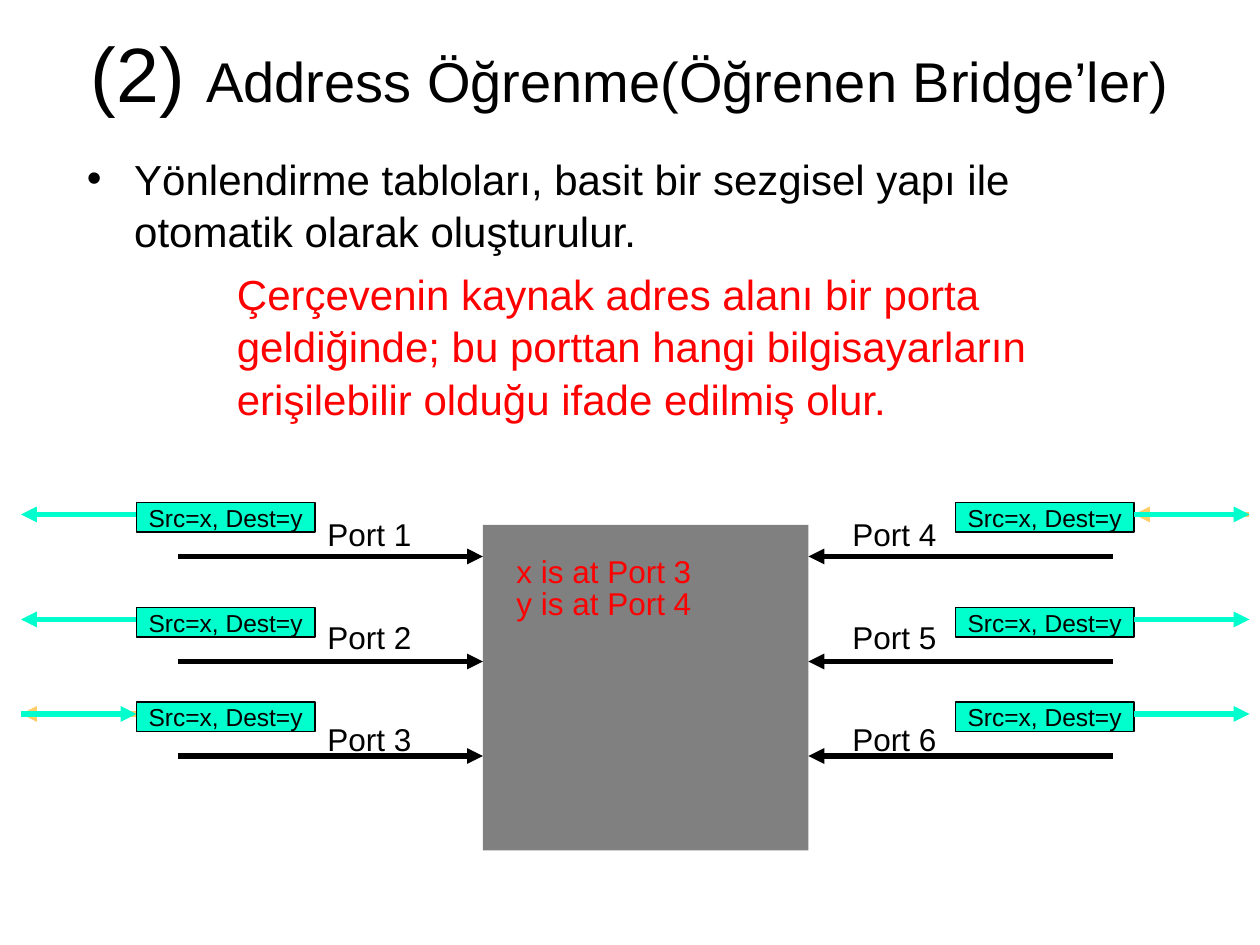
from pptx import Presentation
from pptx.dml.color import RGBColor
from pptx.enum.shapes import MSO_CONNECTOR as Link, MSO_SHAPE as Form
from pptx.enum.text import MSO_ANCHOR as Anchor, MSO_AUTO_SIZE as Fit, PP_ALIGN as Align
from pptx.oxml.ns import qn
from pptx.util import Pt
from lxml.etree import SubElement

BLACK, RED, GREY, MINT, AMBER = "000000", "FF0000", "808080", "00FFCC", "FFCC66"


def paint(target, color):
    """Give a fill or a line format a solid colour."""
    target.solid()
    target.fore_color.rgb = RGBColor.from_string(color)


def write(para, text, size=18, color=BLACK, font="Arial", align=None):
    """Add a run of text to a paragraph."""
    run = para.add_run()
    run.text = text
    run.font.name, run.font.size = font, Pt(size)
    run.font.color.rgb = RGBColor.from_string(color)
    if align is not None:
        para.alignment = align


class Sketch:
    """Holds the current slide and the shared line style."""
    weight = 3

    def __init__(self, slide):
        self.slide = slide
        self.shapes = slide.shapes

    def place(self, holder, x, y, w, h):
        holder.left, holder.top, holder.width, holder.height = map(Pt, (x, y, w, h))
        frame = holder.text_frame
        frame.auto_size, frame.word_wrap = Fit.NONE, True
        return frame

    def block(self, x, y, w, h, color, edge=None, text=""):
        box = self.shapes.add_shape(Form.RECTANGLE, *map(Pt, (x, y, w, h)))
        box.shadow.inherit = False
        paint(box.fill, color)
        if edge:
            paint(box.line.fill, edge)
            box.line.width = Pt(0.75)
        else:
            box.line.fill.background()
        if text:
            frame = box.text_frame
            frame.margin_left = frame.margin_right = 0
            frame.margin_top = frame.margin_bottom = 0
            frame.vertical_anchor = Anchor.MIDDLE
            write(frame.paragraphs[0], text, size=14, align=Align.CENTER)

    def label(self, x, y, w, text, color=BLACK):
        box = self.shapes.add_textbox(*map(Pt, (x, y, w, 28.8)))
        box.text_frame.word_wrap = True
        write(box.text_frame.paragraphs[0], text, color=color)

    def arrow(self, start, end, y, color):
        line = self.shapes.add_connector(Link.STRAIGHT, *map(Pt, (start, y, end, y)))
        paint(line.line.fill, color)
        line.line.width = Pt(self.weight)
        props = line.line._get_or_add_ln()
        SubElement(props, qn("a:tailEnd"), type="triangle")
        SubElement(props.getparent(), qn("a:effectLst"))


def main():
    deck = Presentation()
    deck.slide_width, deck.slide_height = Pt(720), Pt(540)
    slide = deck.slides.add_slide(deck.slide_layouts[1])
    art = Sketch(slide)

    # Title
    frame = art.place(slide.shapes.title, 36, 21.6, 648, 38.9)
    frame.vertical_anchor = Anchor.MIDDLE
    head = frame.paragraphs[0]
    write(head, "(2) ", size=44, align=Align.CENTER)
    write(head, "Address Öğrenme(Öğrenen Bridge’ler)", size=32)

    # Bullet and the red remark under it
    frame = art.place(slide.placeholders[1], 42.5, 82.8, 620.6, 157)
    point, note = frame.paragraphs[0], frame.add_paragraph()
    note.level = 2
    note.space_before = Pt(6)
    for para, left, hang in ((point, 27, -27), (note, 85.7, 0)):
        props = para._p.get_or_add_pPr()
        props.set("marL", str(Pt(left)))
        props.set("indent", str(Pt(hang)))
        para.line_spacing = 1.04
    SubElement(note._p.get_or_add_pPr(), qn("a:buNone"))
    write(point, "Yönlendirme tabloları, basit bir sezgisel yapı ile "
          "otomatik olarak oluşturulur.", size=24)
    write(note, "Çerçevenin kaynak adres alanı bir porta geldiğinde; bu porttan "
          "hangi bilgisayarların erişilebilir olduğu ifade edilmiş olur.",
          size=24, color=RED)

    # Bridge and its table
    art.block(276, 300, 186, 186, GREY)
    for row, text in enumerate(("x is at Port 3", "y is at Port 4")):
        art.label(288, 312 + 18 * row, 162, text, color=RED)

    # Ports: wire ends, label, frame box, then the arrow from box to edge
    sides = ((102, 276, 180, 78, 78, 12), (636, 462, 480, 546, 648, 714))
    for side, (far, near, name, box, inner, outer) in enumerate(sides):
        for row, wire in enumerate((318, 378, 432)):
            port = 3 * side + row + 1
            art.arrow(far, near, wire, BLACK)
            art.label(name, 291 + 58.5 * row, 84, f"Port {port}")
            level = wire - 24
            if port == 3:  # x sends from here
                art.arrow(inner, outer, level, AMBER)
            if port == 4:  # y answers from here
                art.arrow(outer, inner, level, AMBER)
            art.block(box, level - 6.8, 102, 16.8, MINT, edge=BLACK, text="Src=x, Dest=y")
            ends = (outer, inner) if port == 3 else (inner, outer)
            art.arrow(*ends, level, MINT)

    deck.save("out.pptx")


if __name__ == "__main__":
    main()
